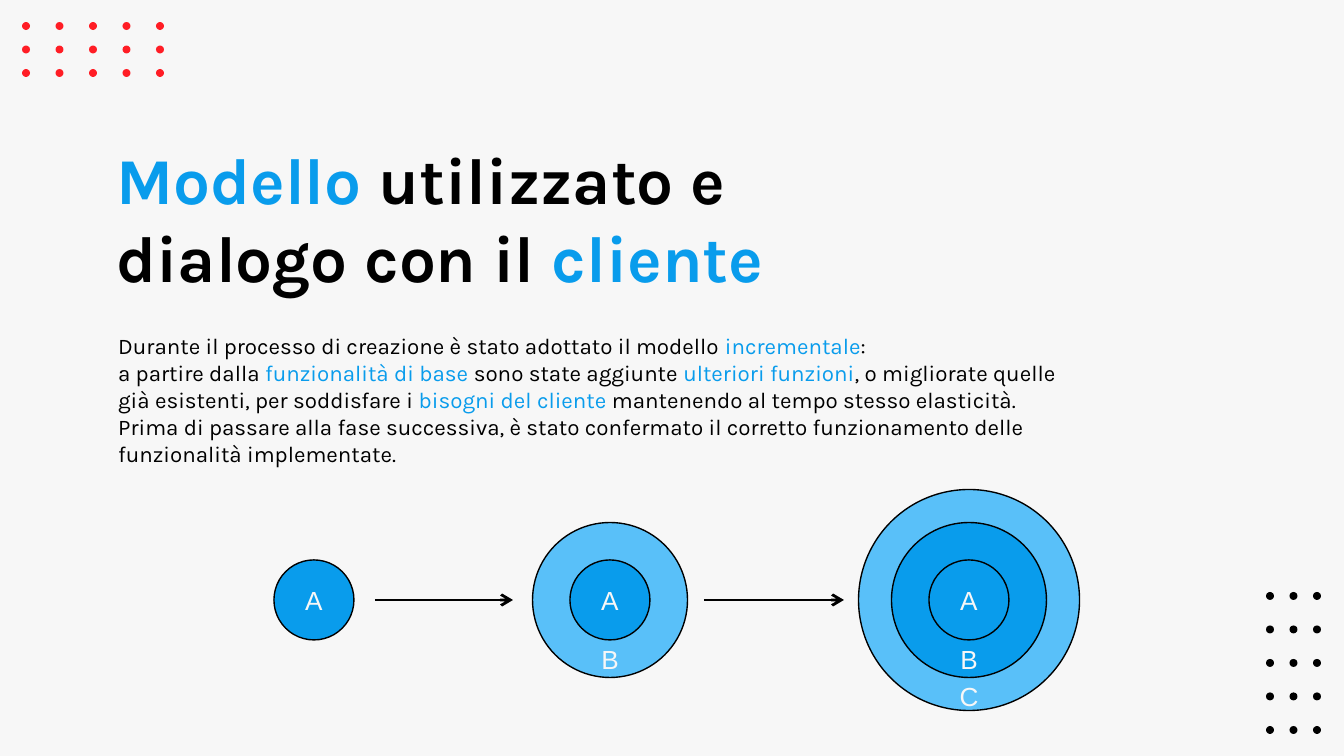
import pptx
import pptx.dml.color
import pptx.enum.shapes
import pptx.enum.text
import pptx.oxml.ns
import pptx.util
from lxml import etree

PX = 914400 / 134.4
BLACK, BLUE, LIGHT_BLUE, RED, PALE = "000000", "099CEC", "59C0F9", "FF1D25", "F7F7F7"

# Each paragraph is a list of (text, colour); "\n" breaks a line.
TITLE = [[("Modello ", BLUE), ("utilizzato e", BLACK), ("\n", BLACK),
          ("dialogo con il ", BLACK), ("cliente", BLUE)]]
BODY = [
    [("Durante il processo di creazione è stato adottato il modello ", BLACK),
     ("incrementale", BLUE), (":", BLACK)],
    [("a partire dalla ", BLACK), ("funzionalità di base ", BLUE),
     ("sono state aggiunte ", BLACK), ("ulteriori funzioni", BLUE),
     (", o migliorate quelle già esistenti, per soddisfare i ", BLACK),
     ("bisogni del cliente ", BLUE),
     ("mantenendo al tempo stesso elasticità.", BLACK)],
    [("Prima di passare alla fase successiva, è stato confermato il corretto "
      "funzionamento delle funzionalità implementate.", BLACK)],
]
TITLE_FONT = {"name": "Karla", "size": pptx.util.Pt(35), "bold": True}
BODY_FONT = {"name": "Karla", "size": pptx.util.Pt(12)}
LABEL_FONT = {"name": "Arial", "size": pptx.util.Pt(14)}

# First and last dot centre, columns, rows, colour
DOT_GRIDS = [((26, 26), (160, 73), 5, 3, RED),
             ((1270, 596), (1317, 730), 3, 5, BLACK)]
DOT_SIZE = 8

# Centre x of each increment and the functions it holds, from the core out
INCREMENTS = [(314, "A"), (610, "AB"), (969, "ABC")]
RING_SIZE = {"A": 80, "B": 155, "C": 221}
RING_LABEL_Y = {"B": 659, "C": 696}
AXIS_Y = 600
ARROWS = [(375, 513), (704, 844)]


def px(*lengths):
    return [round(length * PX) for length in lengths]


def rgb(colour):
    return pptx.dml.color.RGBColor.from_string(colour)


def fill_text(frame, paragraphs, font, **frame_format):
    for name, value in frame_format.items():
        setattr(frame, name, value)
    for index, runs in enumerate(paragraphs):
        paragraph = frame.paragraphs[0] if index == 0 else frame.add_paragraph()
        for text, colour in runs:
            if text == "\n":
                paragraph.add_line_break()
                continue
            run = paragraph.add_run()
            run.text = text
            for name, value in font.items():
                setattr(run.font, name, value)
            run.font.color.rgb = rgb(colour)


def add_circle(shapes, x, y, size, colour, outlined=False):
    """Add a circle centred on (x, y)."""
    circle = shapes.add_shape(pptx.enum.shapes.MSO_SHAPE.OVAL,
                              *px(x - size / 2, y - size / 2, size, size))
    circle.shadow.inherit = False
    circle.fill.solid()
    circle.fill.fore_color.rgb = rgb(colour)
    if outlined:
        circle.line.color.rgb = rgb(BLACK)
        circle.line.width = pptx.util.Pt(0.75)
    else:
        circle.line.fill.background()
    return circle


def add_dots(shapes, first, last, columns, rows, colour):
    dots = shapes.add_group_shape().shapes
    step_x = (last[0] - first[0]) / (columns - 1)
    step_y = (last[1] - first[1]) / (rows - 1)
    for row in range(rows):
        for column in range(columns):
            add_circle(dots, first[0] + column * step_x, first[1] + row * step_y,
                       DOT_SIZE, colour)


def add_passage(shapes, box, paragraphs, font, anchor):
    inset = pptx.util.Inches(0.1)
    fill_text(shapes.add_textbox(*px(*box)).text_frame, paragraphs, font,
              word_wrap=True, vertical_anchor=anchor, margin_left=inset,
              margin_right=inset, margin_top=inset, margin_bottom=inset)


def add_increment(shapes, x, functions):
    center = pptx.enum.text.PP_ALIGN.CENTER
    middle = pptx.enum.text.MSO_ANCHOR.MIDDLE
    for function in reversed(functions):
        newest = function == functions[-1] and function != "A"
        ring = add_circle(shapes, x, AXIS_Y, RING_SIZE[function],
                          LIGHT_BLUE if newest else BLUE, outlined=True)
        if function == "A":
            label = ring
        else:
            label = shapes.add_textbox(
                *px(x - 23, RING_LABEL_Y[function] - 23, 46, 46))
        fill_text(label.text_frame, [[(function, PALE)]], LABEL_FONT,
                  vertical_anchor=middle, word_wrap=False)
        label.text_frame.paragraphs[0].alignment = center


def add_arrow(shapes, start, end):
    arrow = shapes.add_connector(pptx.enum.shapes.MSO_CONNECTOR.STRAIGHT,
                                 *px(start, AXIS_Y, end, AXIS_Y))
    arrow.line.color.rgb = rgb(BLACK)
    arrow.line.width = pptx.util.Pt(1.5)
    qn = pptx.oxml.ns.qn
    etree.SubElement(arrow.line._get_or_add_ln(), qn("a:tailEnd"), type="arrow")
    etree.SubElement(arrow._element.spPr, qn("a:effectLst"))


def main():
    deck = pptx.Presentation()
    deck.slide_width, deck.slide_height = px(1344, 756)
    slide = deck.slides.add_slide(deck.slide_layouts[6])
    slide.background.fill.solid()
    slide.background.fill.fore_color.rgb = rgb(PALE)
    shapes = slide.shapes

    for grid in DOT_GRIDS:
        add_dots(shapes, *grid)
    anchors = pptx.enum.text.MSO_ANCHOR
    add_passage(shapes, (103, 54, 727, 255), TITLE, TITLE_FONT, anchors.BOTTOM)
    add_passage(shapes, (105, 319, 966, 273), BODY, BODY_FONT, anchors.TOP)
    for start, end in ARROWS:
        add_arrow(shapes, start, end)
    for x, functions in INCREMENTS:
        add_increment(shapes, x, functions)
    deck.save("out.pptx")


if __name__ == "__main__":
    main()
